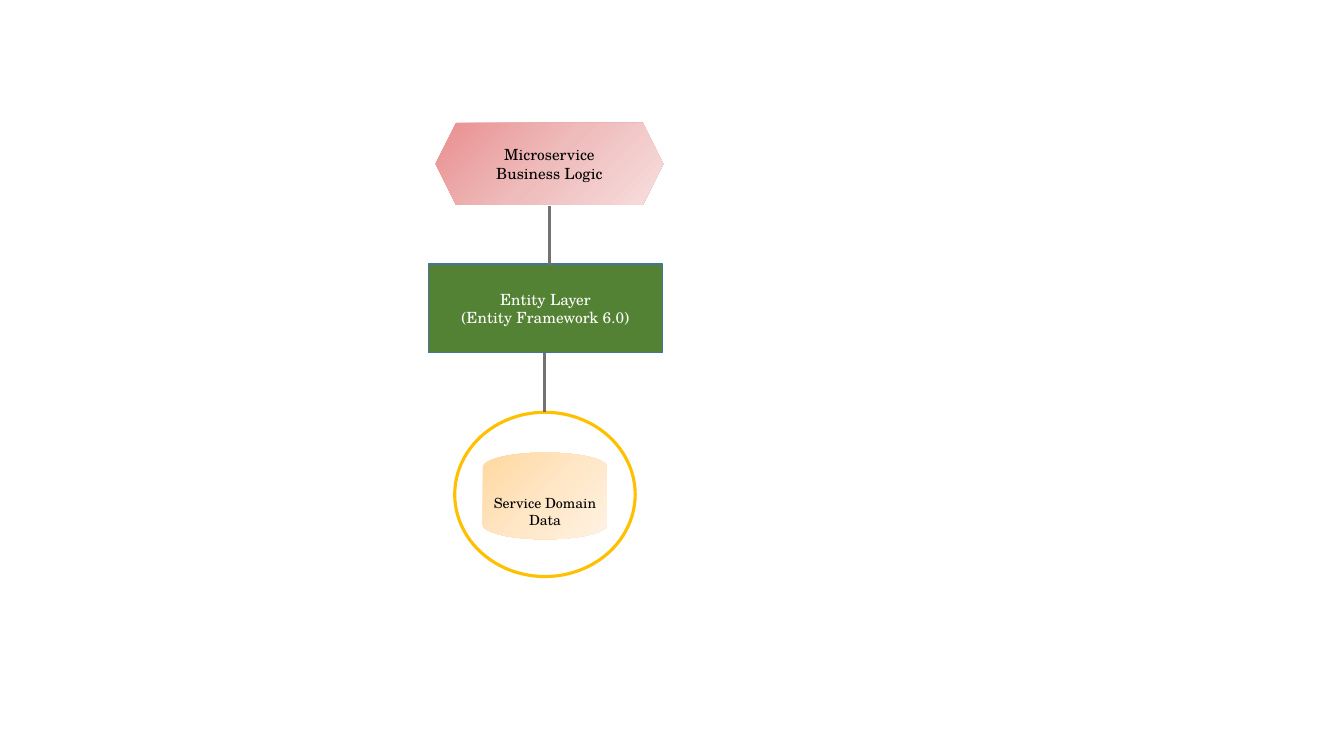
"""Build a slide showing the layers of a microservice, from logic to data."""
from copy import deepcopy
from dataclasses import dataclass

from lxml import etree
from pptx import Presentation
from pptx.dml.color import RGBColor
from pptx.enum.shapes import MSO_CONNECTOR, MSO_SHAPE
from pptx.enum.text import MSO_ANCHOR, PP_ALIGN
from pptx.oxml.ns import qn
from pptx.shapes.autoshape import Shape
from pptx.slide import Slide
from pptx.util import Inches, Pt

RECTANGLE = MSO_SHAPE.RECTANGLE
DISK = MSO_SHAPE.FLOWCHART_MAGNETIC_DISK
OVAL = MSO_SHAPE.OVAL
HEXAGON = MSO_SHAPE.HEXAGON
STRAIGHT = MSO_CONNECTOR.STRAIGHT
CENTER = PP_ALIGN.CENTER
MIDDLE = MSO_ANCHOR.MIDDLE

FONT_NAME = "TeX Gyre Schola"
BLACK = RGBColor(0x00, 0x00, 0x00)
WHITE = RGBColor(0xFF, 0xFF, 0xFF)
GREEN = RGBColor(0x54, 0x82, 0x35)
BLUE = RGBColor(0x43, 0x73, 0x9E)
GOLD = RGBColor(0xFF, 0xC0, 0x00)
GRAY = RGBColor(0x76, 0x71, 0x71)
ORANGES = (RGBColor(0xFF, 0xD8, 0xA0), RGBColor(0xFF, 0xE6, 0xC5), RGBColor(0xFF, 0xF2, 0xE3))
REDS = (RGBColor(0xE9, 0x8F, 0x8F), RGBColor(0xEF, 0xBC, 0xBC), RGBColor(0xF7, 0xDE, 0xDE))


@dataclass(frozen=True)
class Layer:
    kind: MSO_SHAPE
    left: float
    top: float
    width: float
    height: float
    fills: tuple[RGBColor, ...] = ()
    line_color: RGBColor | None = None
    line_width: float = 1
    lines: tuple[str, ...] = ()
    font_size: float = 11
    font_color: RGBColor = BLACK
    margin_top: float = 0.05
    margin_bottom: float = 0.05


@dataclass(frozen=True)
class Link:
    x: float
    top: float
    bottom: float


LAYERS = (
    Layer(RECTANGLE, 4.25, 2.62, 2.32, 0.88, (GREEN,), BLUE,
          lines=("Entity Layer", "(Entity Framework 6.0)"), font_color=WHITE),
    Layer(DISK, 4.79, 4.49, 1.23, 0.86, ORANGES, lines=("Service Domain Data",),
          font_size=10, margin_top=0.17, margin_bottom=0),
    Layer(OVAL, 4.51, 4.09, 1.79, 1.63, line_color=GOLD, line_width=2.25),
    Layer(HEXAGON, 4.32, 1.22, 2.26, 0.81, REDS, lines=("Microservice", "Business Logic")),
)
LINKS = (Link(5.45, 2.04, 2.63), Link(5.4, 3.5, 4.09))


def fill_shape(shape: Shape, colors: tuple[RGBColor, ...]) -> None:
    """Fill with nothing, one colour, or an even diagonal gradient."""
    if not colors:
        shape.fill.background()
    elif len(colors) == 1:
        shape.fill.solid()
        shape.fill.fore_color.rgb = colors[0]
    else:
        shape.fill.gradient()
        shape.fill.gradient_angle = 315
        stop_list = next(shape._element.spPr.iter(qn("a:gsLst")))
        for _ in colors[2:]:
            stop_list.insert(1, deepcopy(stop_list[0]))
        for index, (stop, color) in enumerate(zip(shape.fill.gradient_stops, colors)):
            stop.position = index / (len(colors) - 1)
            stop.color.rgb = color


def write_text(shape: Shape, layer: Layer) -> None:
    """Write the layer's lines centred in its shape."""
    frame = shape.text_frame
    frame.word_wrap = True
    frame.vertical_anchor = MIDDLE
    frame.margin_top = Inches(layer.margin_top)
    frame.margin_bottom = Inches(layer.margin_bottom)
    frame.text = "\n".join(layer.lines)
    for paragraph in frame.paragraphs:
        paragraph.alignment = CENTER
        paragraph.font.name = FONT_NAME
        paragraph.font.size = Pt(layer.font_size)
        paragraph.font.color.rgb = layer.font_color


def draw_layer(slide: Slide, layer: Layer) -> None:
    """Draw one shape with its fill, outline and text."""
    shape = slide.shapes.add_shape(layer.kind, Inches(layer.left), Inches(layer.top),
                                   Inches(layer.width), Inches(layer.height))
    shape.shadow.inherit = False
    fill_shape(shape, layer.fills)
    if layer.line_color is None:
        shape.line.fill.background()
    else:
        shape.line.color.rgb = layer.line_color
        shape.line.width = Pt(layer.line_width)
    if layer.lines:
        write_text(shape, layer)


def draw_link(slide: Slide, link: Link) -> None:
    """Draw one vertical line between two layers."""
    connector = slide.shapes.add_connector(STRAIGHT, Inches(link.x), Inches(link.top),
                                           Inches(link.x), Inches(link.bottom))
    connector.line.color.rgb = GRAY
    connector.line.width = Pt(1.5)
    etree.SubElement(connector._element.spPr, qn("a:effectLst"))


def main() -> None:
    """Build and save the presentation."""
    presentation = Presentation()
    presentation.slide_width = Inches(13.33)
    presentation.slide_height = Inches(7.5)
    slide = presentation.slides.add_slide(presentation.slide_layouts[6])
    for layer in LAYERS:
        draw_layer(slide, layer)
    for link in LINKS:
        draw_link(slide, link)
    presentation.save("out.pptx")


if __name__ == "__main__":
    main()
